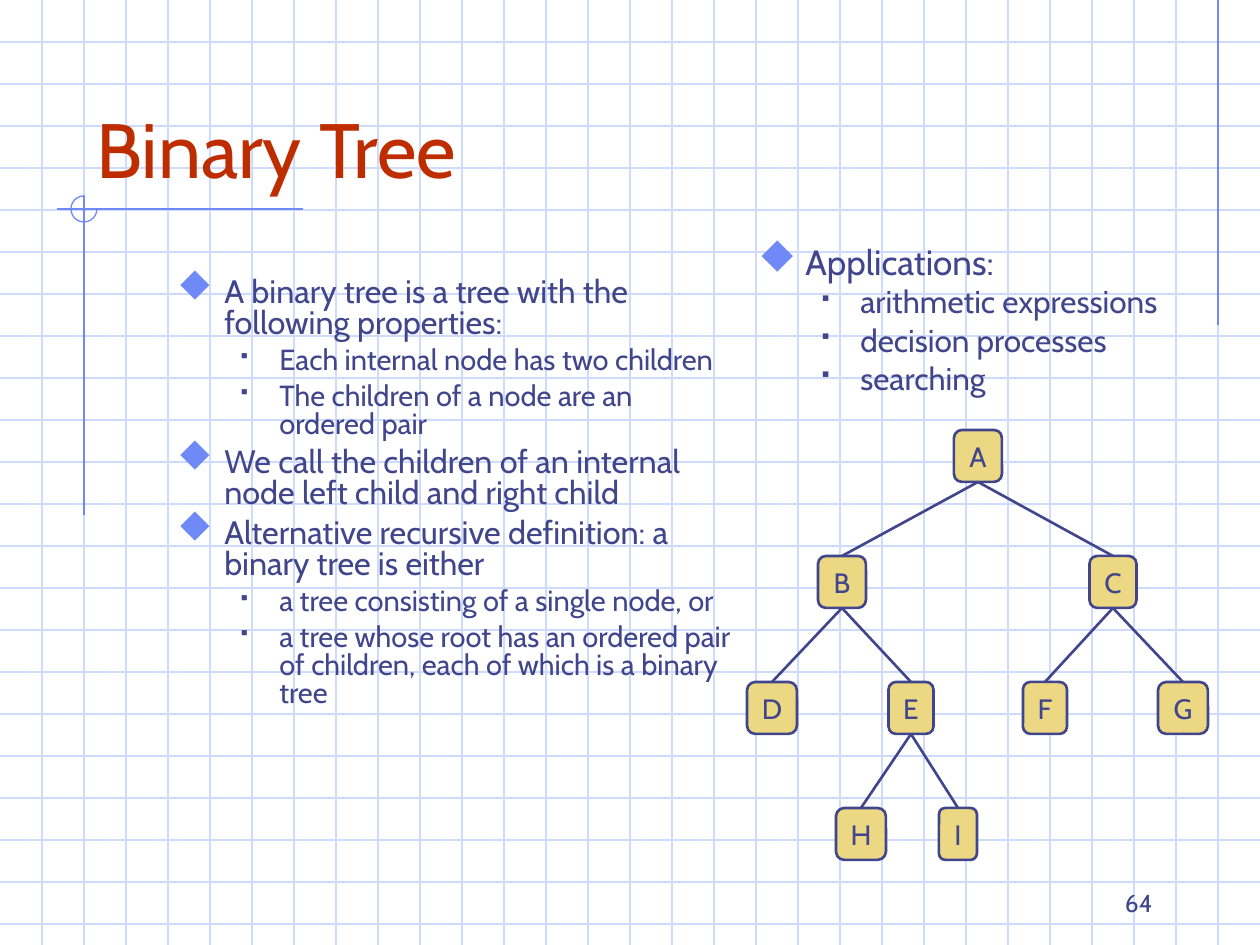
from dataclasses import dataclass

from lxml import etree
from pptx import Presentation
from pptx.dml.color import RGBColor
from pptx.enum import shapes, text
from pptx.oxml.ns import qn
from pptx.util import Emu, Pt

EMU_PER_PX = 914400 / 126
WIDTH, HEIGHT = 1260, 945


@dataclass(frozen=True)
class Theme:
    font: str = "Cabin"
    bullet_font: str = "Wingdings"
    ink: str = "40458C"
    title: str = "BE2D00"
    accent: str = "6F89F7"
    grid: str = "CFDBFD"
    node: str = "ECD882"
    title_size: float = 44
    body_sizes: tuple = (18.5, 16.6)
    side_sizes: tuple = (20, 18)
    node_size: float = 16
    number_size: float = 14
    thin: float = 0.75
    thick: float = 1.5


THEME = Theme()

# Per outline level: bullet, colour, size in %, left margin, indent, space before
# In the bullet font, "u" is a diamond and "§" a small square
BULLETS = [
    ("u", THEME.accent, 110, 47, -47, 5),
    ("§", THEME.ink, 60, 102, -39, 4.5),
]

DEFINITION = [
    (0, "A binary tree is a tree with the following properties:"),
    (1, "Each internal node has two children"),
    (1, "The children of a node are an ordered pair"),
    (0, "We call the children of an internal node left child and right child"),
    (0, "Alternative recursive definition: a binary tree is either"),
    (1, "a tree consisting of a single node, or"),
    (1, "a tree whose root has an ordered pair of children, "
        "each of which is a binary tree"),
]
APPLICATIONS = [
    (0, "Applications:"),
    (1, "arithmetic expressions"),
    (1, "decision processes"),
    (1, "searching"),
]

# Label: (centre from the left of the tree, level, width)
NODES = {
    "A": (231, 0, 48), "B": (95, 1, 48), "C": (366, 1, 47),
    "D": (25, 2, 50), "E": (164, 2, 45), "F": (298, 2, 44),
    "G": (436, 2, 50), "H": (114, 3, 50), "I": (211, 3, 38),
}
EDGES = ["AB", "AC", "BD", "BE", "CF", "CG", "EH", "EI"]
NODE_HEIGHT, LEVEL_STEP = 52, 126


def px(value):
    return Emu(round(value * EMU_PER_PX))


def color(value):
    return RGBColor.from_string(value)


def format_font(paragraph, size, ink=THEME.ink):
    for run in paragraph.runs:
        run.font.name = THEME.font
        run.font.size = Pt(size)
        run.font.color.rgb = color(ink)


def add_line(slide, x1, y1, x2, y2, ink, weight=THEME.thin):
    line = slide.shapes.add_connector(
        shapes.MSO_CONNECTOR.STRAIGHT, px(x1), px(y1), px(x2), px(y2))
    line.line.color.rgb = color(ink)
    line.line.width = Pt(weight)
    etree.SubElement(line._element.spPr, qn("a:effectLst"))
    return line


def add_text_box(slide, box, anchor=text.MSO_ANCHOR.TOP):
    frame = slide.shapes.add_textbox(*map(px, box)).text_frame
    frame.word_wrap = True
    frame.vertical_anchor = anchor
    return frame


def add_label(slide, box, words, size, ink, align):
    frame = add_text_box(slide, box, text.MSO_ANCHOR.BOTTOM)
    frame.text = words
    frame.paragraphs[0].alignment = align
    format_font(frame.paragraphs[0], size, ink)


def add_grid(slide, box, step):
    left, top, width, height = box
    for y in range(top + step, top + height, step):
        add_line(slide, left, y, left + width, y, THEME.grid)
    for x in range(left + step, left + width, step):
        add_line(slide, x, top, x, top + height, THEME.grid)


def add_corner_mark(slide, box):
    """Crossed rules with a three-quarter ring around the crossing."""
    left, top, width, height = box
    cross_x, cross_y, radius = left + 27, top + 14, 13
    add_line(slide, left + width, cross_y, left, cross_y, THEME.accent)
    add_line(slide, cross_x, top, cross_x, top + height, THEME.accent)
    ring = slide.shapes.add_shape(
        shapes.MSO_SHAPE.ARC, px(cross_x - radius), px(cross_y - radius),
        px(2 * radius), px(2 * radius))
    ring.adjustments[0] = 0
    ring.adjustments[1] = 162  # 270 degrees
    ring.shadow.inherit = False
    ring.fill.background()
    ring.line.color.rgb = color(THEME.accent)
    ring.line.width = Pt(THEME.thin)


def add_bullet(paragraph, level):
    mark, ink, percent, margin, indent, _ = BULLETS[level]
    properties = paragraph._p.get_or_add_pPr()
    properties.set("marL", str(px(margin)))
    properties.set("indent", str(px(indent)))
    bullet_color = etree.SubElement(properties, qn("a:buClr"))
    etree.SubElement(bullet_color, qn("a:srgbClr"), val=ink)
    etree.SubElement(properties, qn("a:buSzPct"), val=str(percent * 1000))
    etree.SubElement(properties, qn("a:buFont"),
                     typeface=THEME.bullet_font, charset="2")
    etree.SubElement(properties, qn("a:buChar"), char=mark)


def add_outline(slide, box, items, sizes):
    frame = add_text_box(slide, box)
    frame.text = "\n".join(words for _, words in items)
    for index, (level, _) in enumerate(items):
        paragraph = frame.paragraphs[index]
        add_bullet(paragraph, level)
        paragraph.level = level
        paragraph.line_spacing = 0.8
        paragraph.space_before = Pt(BULLETS[level][-1] if index else 0)
        format_font(paragraph, sizes[level])


def add_node(slide, label, center, top, width):
    node = slide.shapes.add_shape(
        shapes.MSO_SHAPE.ROUNDED_RECTANGLE, px(center - width / 2), px(top),
        px(width), px(NODE_HEIGHT))
    node.shadow.inherit = False
    node.fill.solid()
    node.fill.fore_color.rgb = color(THEME.node)
    node.line.color.rgb = color(THEME.ink)
    node.line.width = Pt(THEME.thick)
    frame = node.text_frame
    frame.word_wrap = False
    frame.vertical_anchor = text.MSO_ANCHOR.MIDDLE
    frame.text = label
    frame.paragraphs[0].alignment = text.PP_ALIGN.CENTER
    format_font(frame.paragraphs[0], THEME.node_size)
    return node


def add_tree(slide, left, top):
    nodes = {
        label: add_node(slide, label, left + x, top + level * LEVEL_STEP, width)
        for label, (x, level, width) in NODES.items()
    }
    for parent, child in EDGES:
        edge = add_line(slide, 0, 0, 0, 0, THEME.ink, THEME.thick)
        edge.begin_connect(nodes[parent], 2)
        edge.end_connect(nodes[child], 0)


def main():
    presentation = Presentation()
    presentation.slide_width, presentation.slide_height = px(WIDTH), px(HEIGHT)
    slide = presentation.slides.add_slide(presentation.slide_layouts[6])

    # Graph-paper background and accent rules
    add_grid(slide, (0, 0, WIDTH, HEIGHT), 42)
    add_line(slide, 1218, 0, 1218, 325, THEME.accent)
    add_corner_mark(slide, (57, 195, 246, 320))

    # Title and both outlines
    add_label(slide, (84, 42, 1071, 158), "Binary Tree",
              THEME.title_size, THEME.title, text.PP_ALIGN.LEFT)
    add_outline(slide, (165, 272, 580, 543), DEFINITION, THEME.body_sizes)
    add_outline(slide, (746, 242, 451, 210), APPLICATIONS, THEME.side_sizes)

    # Example tree and slide number
    add_tree(slide, 747, 430)
    add_label(slide, (903, 861, 262, 63), "64",
              THEME.number_size, THEME.ink, text.PP_ALIGN.RIGHT)

    presentation.save("out.pptx")


if __name__ == "__main__":
    main()
